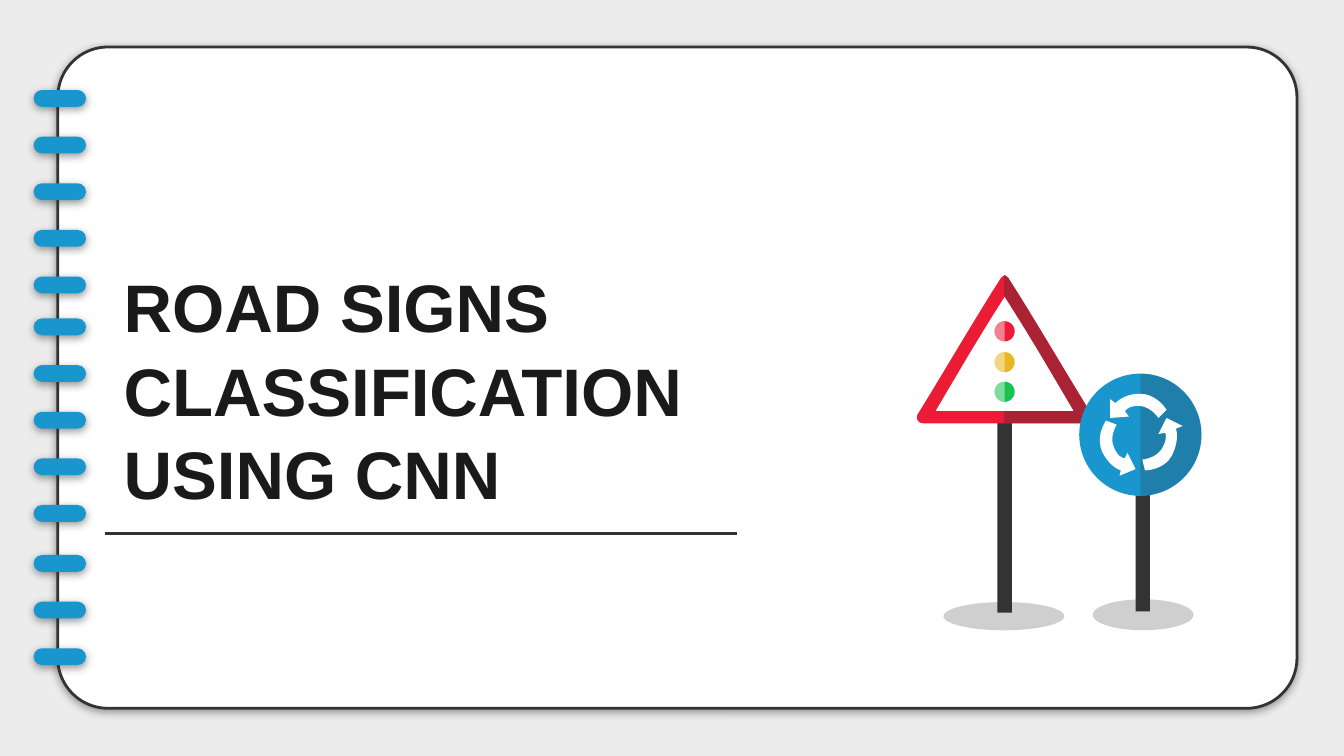
"""Build a notebook-style title slide with two road signs."""
from lxml.etree import SubElement
from pptx import Presentation
from pptx.dml.color import RGBColor
from pptx.enum.shapes import MSO_CONNECTOR, MSO_SHAPE
from pptx.enum.text import MSO_ANCHOR, MSO_AUTO_SIZE, PP_ALIGN
from pptx.oxml.ns import qn
from pptx.util import Cm, Pt

PAPER = RGBColor(0xEC, 0xEC, 0xEC)
WHITE = RGBColor(0xFF, 0xFF, 0xFF)
DARK = RGBColor(0x33, 0x33, 0x33)
INK = RGBColor(0x1A, 0x1A, 0x1A)
BLUE = RGBColor(0x1A, 0x96, 0xCF)
RED = RGBColor(0xEC, 0x1B, 0x36)
GOLD = RGBColor(0xE7, 0xB7, 0x24)
GREEN = RGBColor(0x19, 0xC3, 0x4F)

TITLE = "ROAD SIGNS CLASSIFICATION USING CNN"
UNIT = 0.0254
RINGS = [(67, 5), (237, 5), (413, 3)]
PITCH = 34.7
LAMPS = [(239, RED), (262, GOLD), (284, GREEN)]
AXIS = 747.5

PANEL = [(748, 211), (688, 308), (805, 308)]
FRAME = [
    (748, 205), (747, 205, 745, 206, 744, 208),
    (723, 241, 704, 274, 683, 308), (681, 311, 683, 315, 687, 315),
    (748, 315), (748, 306), (696, 306), (713, 277, 730, 248, 748, 220),
]
ARROWS = [
    [
        (848, 293), (836, 293, 830, 300, 830, 300), (826, 297), (826, 311),
        (840, 310), (837, 306), (837, 306, 839, 302, 847, 302),
        (856, 302, 862, 311, 862, 311), (868, 305),
        (868, 305, 861, 293, 848, 293),
    ],
    [
        (823, 313), (823, 313, 815, 324, 820, 336),
        (826, 348, 834, 350, 834, 350), (833, 354), (845, 349), (839, 337),
        (837, 341), (837, 341, 832, 341, 829, 333),
        (825, 325, 831, 316, 831, 316),
    ],
    [
        (868, 311), (862, 323), (867, 322), (867, 322, 869, 326, 865, 333),
        (861, 341, 850, 342, 850, 342), (852, 350),
        (852, 350, 866, 350, 872, 339), (878, 327, 875, 319, 875, 319),
        (880, 317),
    ],
]


def size(val):
    return Cm(val * UNIT)


def paint(shape, color, alpha=100):
    shape.shadow.inherit = False
    shape.line.fill.background()
    shape.fill.solid()
    shape.fill.fore_color.rgb = color
    if alpha < 100:
        tint = shape.element.spPr.find(".//" + qn("a:srgbClr"))
        SubElement(tint, qn("a:alpha"), val=str(alpha * 1000))
    return shape


def preset(kind, box, color, alpha=100):
    return paint(shapes.add_shape(kind, *map(size, box)), color, alpha)


def shade(shape):
    effect = shape.element.spPr.find(qn("a:effectLst"))
    outer = SubElement(effect, qn("a:outerShdw"), blurRad=str(Pt(4.5)),
                       dist=str(Pt(1.5)), dir="5400000", algn="bl",
                       rotWithShape="0")
    tint = SubElement(outer, qn("a:srgbClr"), val=str(DARK))
    SubElement(tint, qn("a:alpha"), val="50000")


def trace(steps, count=10):
    dots = [steps[0]]
    for step in steps[1:]:
        if len(step) == 2:
            dots.append(step)
            continue
        curve = (dots[-1], step[:2], step[2:4], step[4:])
        for num in range(1, count + 1):
            t = num / count
            mix = ((1 - t) ** 3, 3 * t * (1 - t) ** 2,
                   3 * t * t * (1 - t), t ** 3)
            dots.append(tuple(sum(m * p[i] for m, p in zip(mix, curve))
                              for i in (0, 1)))
    return dots


def outline(steps, color, alpha=100, flip=False):
    dots = [(size(2 * AXIS - x if flip else x), size(y))
            for x, y in trace(steps)]
    pen = shapes.build_freeform(*dots[0], scale=1.0)
    pen.add_line_segments(dots[1:], close=True)
    return paint(pen.convert_to_shape(), color, alpha)


def half(mid, top, wide, side, color, alpha):
    rad = wide / 2
    arm = rad * 0.55
    edge, bend = mid + side * rad, mid + side * arm
    outline([(mid, top),
             (bend, top, edge, top + rad - arm, edge, top + rad),
             (edge, top + rad + arm, bend, top + wide, mid, top + wide)],
            color, alpha)


deck = Presentation()
deck.slide_width, deck.slide_height = size(1000), size(562.5)
slide = deck.slides.add_slide(deck.slide_layouts[5])
slide.background.fill.solid()
slide.background.fill.fore_color.rgb = PAPER
shapes = slide.shapes

card = preset(MSO_SHAPE.ROUNDED_RECTANGLE, (43, 35, 922, 492), WHITE)
card.adjustments[0] = 0.076
card.line.color.rgb = DARK
card.line.width = Pt(1.5)
shade(card)
for first, count in RINGS:
    for num in range(count):
        box = (25, first + num * PITCH, 39, 12.5)
        ring = preset(MSO_SHAPE.ROUNDED_RECTANGLE, box, BLUE)
        ring.adjustments[0] = 0.5
        shade(ring)

preset(MSO_SHAPE.OVAL, (702, 448, 90, 21), DARK, 23)
preset(MSO_SHAPE.RECTANGLE, (742, 310, 11, 146), DARK)
outline(PANEL, WHITE)
for top, color in LAMPS:
    preset(MSO_SHAPE.OVAL, (740, top, 15, 15), color)
    half(AXIS, top, 15, -1, WHITE, 44)
outline(FRAME, RED)
outline(FRAME, RED, flip=True)
outline(FRAME, DARK, 36, flip=True)

preset(MSO_SHAPE.RECTANGLE, (845, 366, 10.5, 89), DARK)
preset(MSO_SHAPE.OVAL, (803, 278, 91, 91), BLUE)
half(848.5, 278, 91, 1, DARK, 23)
for arrow in ARROWS:
    outline(arrow, WHITE)
preset(MSO_SHAPE.OVAL, (813, 446, 75, 23), DARK, 23)

rule = shapes.add_connector(MSO_CONNECTOR.STRAIGHT,
                            *map(size, (78, 397, 548, 397)))
rule.line.color.rgb = DARK
rule.line.width = Pt(1.5)
SubElement(rule.element.spPr, qn("a:effectLst"))

title = shapes.title
title.left, title.top, title.width, title.height = map(
    size, (82, 94, 592, 298))
title.element.getparent().append(title.element)
frame = title.text_frame
frame.word_wrap = True
frame.auto_size = MSO_AUTO_SIZE.NONE
frame.vertical_anchor = MSO_ANCHOR.BOTTOM
frame.margin_left = frame.margin_right = size(10)
frame.margin_top = frame.margin_bottom = size(10)
para = frame.paragraphs[0]
para.alignment = PP_ALIGN.LEFT
para.line_spacing = 1.04
run = para.add_run()
run.text = TITLE
run.font.name = "Arial"
run.font.size = Pt(36)
run.font.bold = True
run.font.color.rgb = INK

deck.save("out.pptx")
